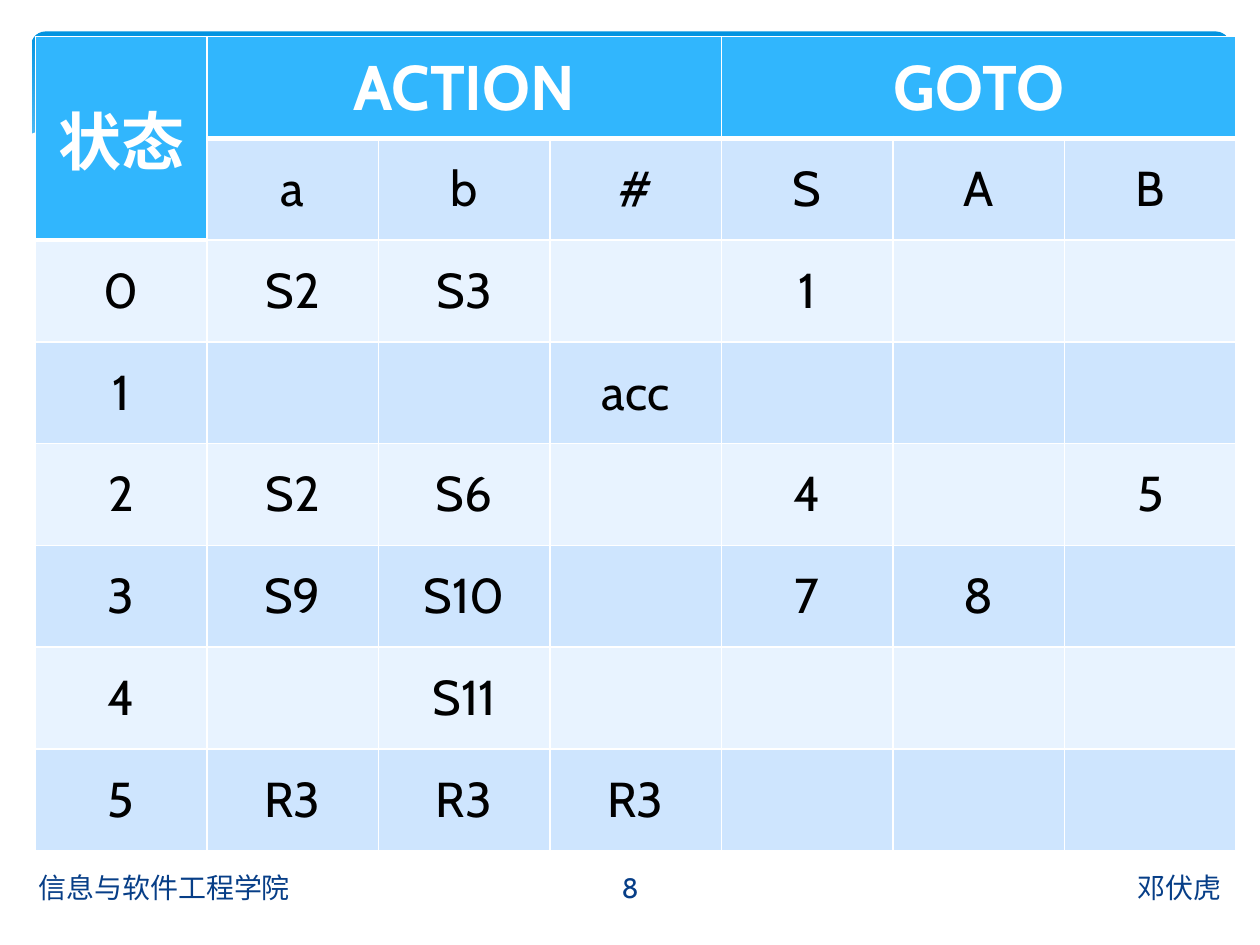
from pptx import Presentation, util as u
from pptx.dml.color import RGBColor
from pptx.enum import shapes, text
from pptx.oxml import parse_xml
from pptx.oxml.ns import nsdecls

WIDE, HIGH = 10, 7.5
FONT = "Cabin"
HEAD = ["状态", "ACTION", "", "", "GOTO", "", ""]
ROWS = [
    ["", "a", "b", "#", "S", "A", "B"],
    ["0", "S2", "S3", "", "1", "", ""],
    ["1", "", "", "acc", "", "", ""],
    ["2", "S2", "S6", "", "4", "", "5"],
    ["3", "S9", "S10", "", "7", "8", ""],
    ["4", "", "S11", "", "", "", ""],
    ["5", "R3", "R3", "R3", "", "", ""],
]
WAVE = [(0, 0.2), (0.04, 0.1), (0.1, 0.04), (0.18, 0), (0.28, 0.05),
        (0.44, 0.25), (0.61, 0.49), (0.7, 0.58), (0.82, 0.64),
        (0.92, 0.58), (1, 0.43), (1, 1), (0, 1)]


def paint(fill, tint):
    fill.solid()
    fill.fore_color.rgb = RGBColor.from_string(tint)


def write(frame, words, size, tint, align, bold=False):
    frame.text = words
    para = frame.paragraphs[0]
    para.alignment = align
    for run in para.runs:
        font = run.font
        font.name, font.size, font.bold = FONT, u.Pt(size), bold
        font.color.rgb = RGBColor.from_string(tint)


def edge(cell, sides):
    props = cell._tc.get_or_add_tcPr()
    for spot, (side, width) in enumerate(sides.items()):
        props.insert(spot, parse_xml(
            f'<a:ln{side} {nsdecls("a")} w="{u.Pt(width)}"><a:solidFill>'
            f'<a:srgbClr val="FFFFFF"/></a:solidFill></a:ln{side}>'))


def banner(slide, left, top, width, height):
    card = slide.shapes.add_shape(
        shapes.MSO_SHAPE.ROUNDED_RECTANGLE,
        *map(u.Inches, (left, top, width, height)))
    card.adjustments[0] = 0.07
    card.shadow.inherit = False
    card.line.fill.background()
    card.fill.gradient()
    card.fill.gradient_angle = 270
    stops = zip(card.fill.gradient_stops, (0, 0.9), ("0293E0", "83D3FE"))
    for stop, place, tint in stops:
        stop.position = place
        stop.color.rgb = RGBColor.from_string(tint)


def wave(slide, left, top, width, height):
    spots = [(u.Inches(left + x * width), u.Inches(top + y * height))
             for x, y in WAVE]
    pen = slide.shapes.build_freeform(*spots[0])
    pen.add_line_segments(spots[1:])
    mask = pen.convert_to_shape()
    mask.shadow.inherit = False
    mask.line.fill.background()
    paint(mask.fill, "FFFFFF")


def footer(slide, left, top, width, height):
    align = text.PP_ALIGN
    parts = [("信息与软件工程学院", 0, 0.43, align.LEFT),
             ("8", 0.43, 0.14, align.CENTER),
             ("邓伏虎", 0.57, 0.43, align.RIGHT)]
    for words, start, share, side in parts:
        box = slide.shapes.add_textbox(*map(
            u.Inches, (left + start * width, top, share * width, height)))
        frame = box.text_frame
        frame.word_wrap = True
        frame.vertical_anchor = text.MSO_ANCHOR.MIDDLE
        write(frame, words, 16, "073E87", side)


def grid(slide, left, top, width, height):
    data = [HEAD] + ROWS
    table = slide.shapes.add_table(
        len(data), len(HEAD),
        *map(u.Inches, (left, top, width, height))).table
    table.first_row = table.horz_banding = False
    for r, line in enumerate(data):
        table.rows[r].height = u.Inches(height / len(data))
        for c, words in enumerate(line):
            cell = table.cell(r, c)
            head = r == 0 or (r == 1 and c == 0)
            under = (r == 1 and c > 0) or (r == 2 and c == 0)
            band = "CEE5FE" if r % 2 else "E8F3FF"
            paint(cell.fill, "31B6FD" if head else band)
            cell.vertical_anchor = text.MSO_ANCHOR.MIDDLE
            write(cell.text_frame, words, 36 if head else 28,
                  "FFFFFF" if head else "000000",
                  text.PP_ALIGN.CENTER, head)
            edge(cell, {"L": 1, "R": 1, "T": 3 if under else 1,
                        "B": 3 if head else 1})
    for start, end in (((0, 0), (1, 0)), ((0, 1), (0, 3)), ((0, 4), (0, 6))):
        table.cell(*start).merge(table.cell(*end))


deck = Presentation()
deck.slide_width, deck.slide_height = u.Inches(WIDE), u.Inches(HIGH)
page = deck.slides.add_slide(deck.slide_layouts[6])
banner(page, 0.25, 0.25, 9.51, 1.56)
wave(page, 0.23, 0.78, 9.54, 1.45)
footer(page, 0.21, 6.84, 9.58, 0.4)
grid(page, 0.28, 0.29, 9.53, 6.46)
deck.save("out.pptx")
